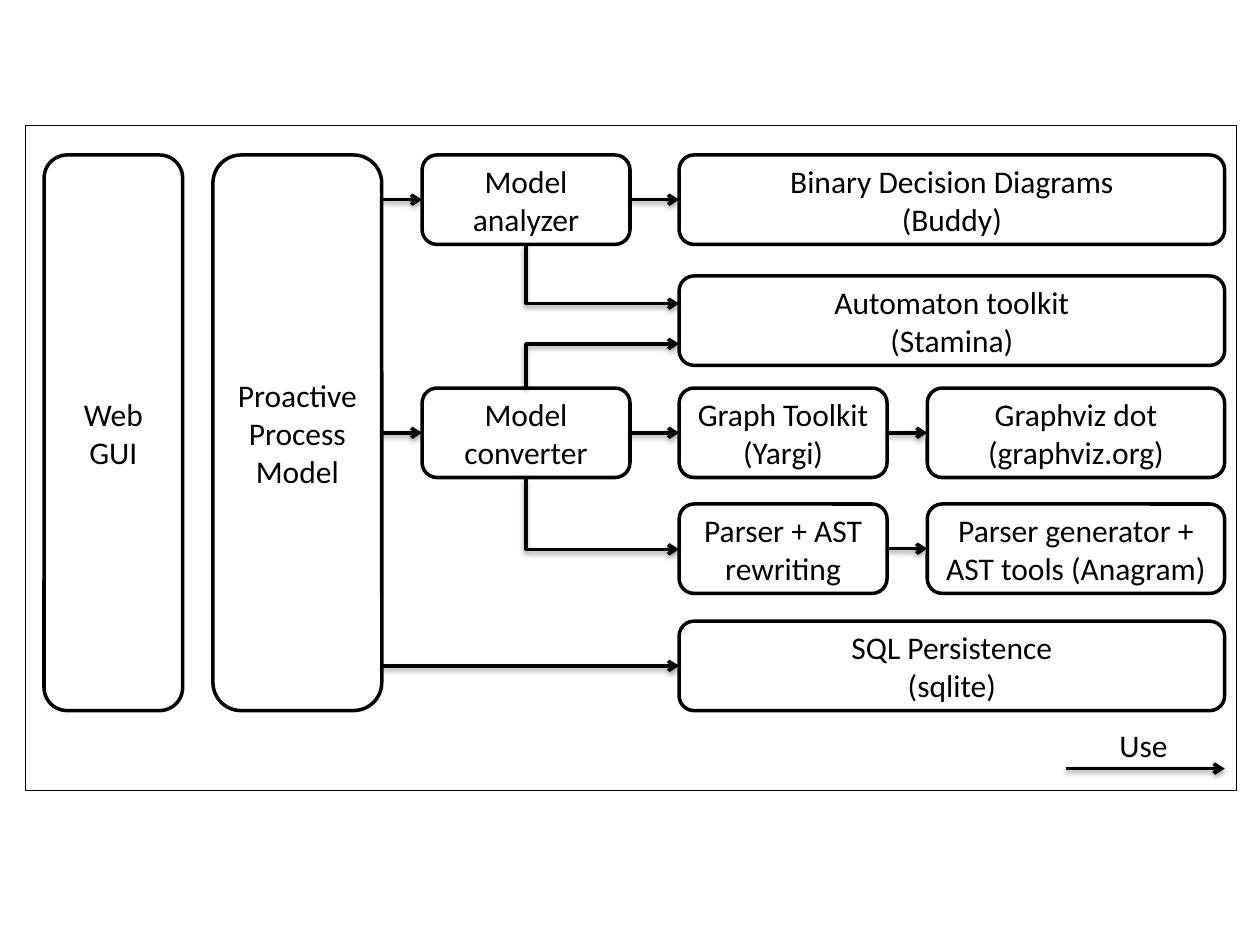
from lxml.etree import SubElement
from pptx import Presentation
from pptx.dml.color import RGBColor
from pptx.enum.shapes import MSO_CONNECTOR as Link, MSO_SHAPE as Shape
from pptx.enum.text import MSO_ANCHOR as Anchor, PP_ALIGN as Align
from pptx.oxml.ns import qn
from pptx.util import Inches, Pt

BLACK = RGBColor(0, 0, 0)
WHITE = RGBColor(255, 255, 255)
TEXT = {"name": "Calibri", "size": Pt(18)}

# Grid: row tops, column lefts and box sizes in inches
ROWS = [1.23, 2.19, 3.08, 4.0, 4.93]
MIDDLE, RIGHT, FAR = 3.35, 5.39, 7.36
BOX_HEIGHT, TALL = 0.71, 4.41
NARROW, MEDIUM, WIDE = 1.65, 2.36, 4.33

# Name: text, left, top, width, height ("\n" new paragraph, "\v" line break)
BOXES = {
    "gui": ("Web GUI", 0.35, ROWS[0], 1.1, TALL),
    "process": ("Proactive\nProcess\nModel", 1.69, ROWS[0], 1.34, TALL),
    "analyzer": ("Model\nanalyzer", MIDDLE, ROWS[0], NARROW, BOX_HEIGHT),
    "converter": ("Model\nconverter", MIDDLE, ROWS[2], NARROW, BOX_HEIGHT),
    "diagrams": ("Binary Decision Diagrams\v(Buddy)", RIGHT, ROWS[0], WIDE, BOX_HEIGHT),
    "automaton": ("Automaton toolkit\v(Stamina)", RIGHT, ROWS[1], WIDE, BOX_HEIGHT),
    "graph": ("Graph Toolkit\n(Yargi)", RIGHT, ROWS[2], NARROW, BOX_HEIGHT),
    "dot": ("Graphviz dot\n(graphviz.org)", FAR, ROWS[2], MEDIUM, BOX_HEIGHT),
    "parser": ("Parser + AST rewriting", RIGHT, ROWS[3], NARROW, BOX_HEIGHT),
    "generator": ("Parser generator + AST tools (Anagram)", FAR, ROWS[3], MEDIUM, BOX_HEIGHT),
    "sql": ("SQL Persistence\v(sqlite)", RIGHT, ROWS[4], WIDE, BOX_HEIGHT),
}
STRAIGHT = [("process", "analyzer"), ("process", "converter"), ("process", "sql"),
            ("analyzer", "diagrams"), ("converter", "graph"),
            ("graph", "dot"), ("parser", "generator")]
# Start box, y of the start, y of the end
BENT = [("analyzer", ROWS[0] + BOX_HEIGHT, 2.41),
        ("converter", ROWS[2], 2.73),
        ("converter", ROWS[2] + BOX_HEIGHT, 4.36)]


def write_text(frame, text):
    frame.text = text
    for para in frame.paragraphs:
        para.alignment = Align.CENTER
        for name, value in TEXT.items():
            setattr(para.font, name, value)
        para.font.color.rgb = BLACK


def add_box(page, kind, left, top, width, height, line_width, text=""):
    box = page.shapes.add_shape(kind, *map(Inches, (left, top, width, height)))
    box.shadow.inherit = False
    box.fill.solid()
    box.fill.fore_color.rgb = WHITE
    box.line.color.rgb = BLACK
    box.line.width = Pt(line_width)
    if text:
        box.text_frame.word_wrap = True
        box.text_frame.vertical_anchor = Anchor.MIDDLE
        write_text(box.text_frame, text)
    return box


def add_arrow(page, kind, *ends):
    arrow = page.shapes.add_connector(kind, *map(Inches, ends))
    arrow.line.color.rgb = BLACK
    arrow.line.width = Pt(2)
    SubElement(arrow.line._get_or_add_ln(), qn("a:tailEnd"), type="arrow")
    # Soft shadow straight below the line
    effects = SubElement(arrow._element.spPr, qn("a:effectLst"))
    shadow = SubElement(effects, qn("a:outerShdw"), blurRad=str(Pt(3.1)),
                        dist=str(Pt(1.6)), dir="5400000", rotWithShape="0")
    colour = SubElement(shadow, qn("a:srgbClr"), val=str(BLACK))
    SubElement(colour, qn("a:alpha"), val="38000")
    return arrow


def add_bent_arrow(page, x1, y1, x2, y2):
    """Leave vertically, arrive from the left: a quarter-turned one-bend connector."""
    centre_x, centre_y = (x1 + x2) / 2, (y1 + y2) / 2
    down = y2 > y1
    half_width = abs(y2 - y1) / 2
    half_height = (x2 - x1) / 2 * (1 if down else -1)
    arrow = add_arrow(page, Link.ELBOW,
                      centre_x + half_width, centre_y - half_height,
                      centre_x - half_width, centre_y + half_height)
    properties = arrow._element.spPr
    properties.find(qn("a:prstGeom")).set("prst", "bentConnector2")
    properties.find(qn("a:xfrm")).set("rot", str((270 if down else 90) * 60000))


def add_legend(page):
    label = page.shapes.add_textbox(*map(Inches, (8.78, 5.71, 0.59, 0.4)))
    label.text_frame.word_wrap = False
    write_text(label.text_frame, "Use")
    add_arrow(page, Link.STRAIGHT, 8.46, 6.1, 9.72, 6.1)


def main():
    deck = Presentation()
    deck.slide_width, deck.slide_height = Inches(10), Inches(7.5)
    page = deck.slides.add_slide(deck.slide_layouts[6])

    # Frame and component boxes
    add_box(page, Shape.RECTANGLE, 0.2, 0.99, 9.61, 5.28, 0.25)
    boxes = {name: add_box(page, Shape.ROUNDED_RECTANGLE, *place, 2, text)
             for name, (text, *place) in BOXES.items()}

    # Straight arrows, level with the middle of the target
    for source, target in STRAIGHT:
        _, left, _, width, height = BOXES[source]
        _, target_left, target_top, _, target_height = BOXES[target]
        y = target_top + target_height / 2
        arrow = add_arrow(page, Link.STRAIGHT, left + width, y, target_left, y)
        if source != "process" or target == "converter":
            arrow.begin_connect(boxes[source], 3)
        arrow.end_connect(boxes[target], 1)

    # Arrows with one bend
    for source, start_y, end_y in BENT:
        _, left, _, width, _ = BOXES[source]
        add_bent_arrow(page, left + width / 2, start_y, RIGHT, end_y)

    add_legend(page)
    deck.save("out.pptx")


if __name__ == "__main__":
    main()
